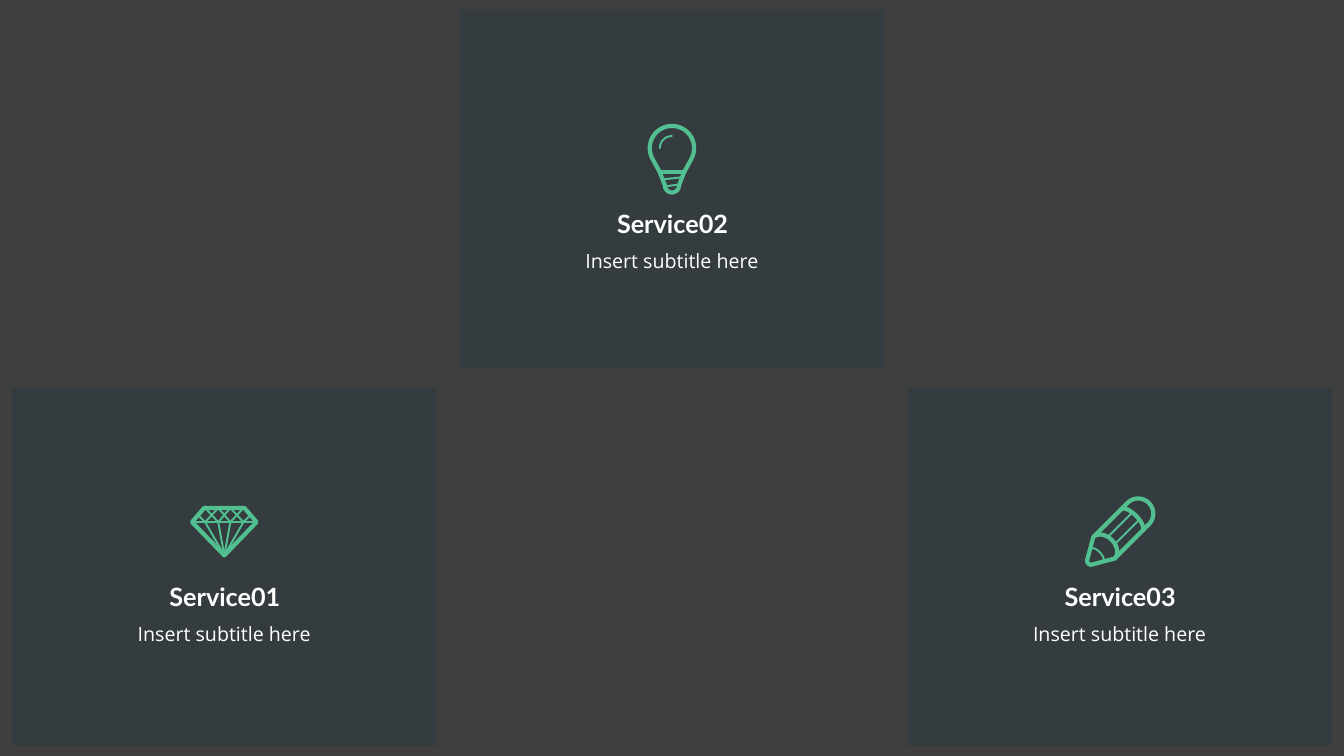
from dataclasses import dataclass
from math import cos, radians, sin, sqrt

from lxml.etree import SubElement
from pptx import Presentation
from pptx.dml.color import RGBColor
from pptx.enum.shapes import MSO_SHAPE
from pptx.enum.text import MSO_AUTO_SIZE, PP_ALIGN
from pptx.oxml.ns import qn
from pptx.util import Pt

PX = 9144  # EMU per px, 100 px to the inch
SLIDE_SIZE = (1333, 750)
CARD_SIZE = (421, 356)
ICON_CENTER = 144


@dataclass(frozen=True)
class Theme:
    background: RGBColor = RGBColor(0x3F, 0x3F, 0x3F)
    card: RGBColor = RGBColor(0x31, 0x3C, 0x41)
    card_opacity: int = 75
    icon: RGBColor = RGBColor(0x52, 0xBF, 0x90)
    bold_stroke: float = 3
    thin_stroke: float = 1.4
    text: RGBColor = RGBColor(0xFF, 0xFF, 0xFF)
    title_font: str = "Lato"
    title_size: int = 18
    subtitle_font: str = "Open Sans"
    subtitle_size: int = 14
    subtitle_spacing: float = 1.5


THEME = Theme()
TITLE_FORMAT = {"name": THEME.title_font, "size": Pt(THEME.title_size), "bold": True}
SUBTITLE_FORMAT = {"name": THEME.subtitle_font, "size": Pt(THEME.subtitle_size)}


def arc(center_x, center_y, radius_x, radius_y, start, end, step=5):
    """Points of an elliptical arc, in degrees clockwise from the right."""
    return [(center_x + radius_x * cos(radians(angle)),
             center_y + radius_y * sin(radians(angle)))
            for angle in range(start, end + 1, step)]


# Each icon function returns its bold and its thin polylines,
# in px around the icon's centre.
def diamond_icon():
    top, girdle, tip = -24, -10, (0, 23)
    top_half, girdle_half = 20, 32
    facets = (-19, -6, 6, 19)
    outline = [(-top_half, top), (top_half, top), (girdle_half, girdle), tip,
               (-girdle_half, girdle), (-top_half, top)]

    # Lines from the girdle to the tip, and a lattice above it
    thin = [[(-girdle_half, girdle), (girdle_half, girdle)]]
    thin += [[(x, girdle), tip] for x in facets]
    for left, right in zip(facets, facets[1:]):
        thin += [[(left, girdle), (right, top)], [(left, top), (right, girdle)]]
    for side, x in ((-1, facets[0]), (1, facets[-1])):
        thin.append([(x, girdle), (side * (girdle_half + top_half) / 2, (girdle + top) / 2)])
    return [outline], thin


def bulb_icon():
    glass_y, glass_radius = -11, 22
    neck_y, neck_half = 13, 12
    glass = arc(0, glass_y, glass_radius, glass_radius, 150, 390)
    base = arc(0, 26, 7, 7, 0, 180)
    neck = [(neck_half, neck_y), (-neck_half, neck_y)]
    outline = [*glass, neck[0], *base, neck[1], glass[0]]

    # Screw threads and the glare on the glass
    threads = [[(-half, y + 1), (half, y - 1)] for half, y in ((9, 19), (7, 26))]
    glare = arc(0, glass_y, 12, 12, 180, 270)
    return [outline, neck], [*threads, glare]


def pencil_icon():
    """Drawn along an axis from tip to eraser, then turned to point down left."""
    half, shoulder, eraser = 15, -22, 26
    point = arc(-40, 0, 4, 4, 115, 245)
    outline = [*point, *arc(eraser, 0, half, half, -90, 90), (shoulder, half), point[0]]
    outline.insert(len(point), (shoulder, -half))
    shoulder_edge = arc(shoulder, 0, 11, half, -90, 90)
    ferrule_edge = arc(17, 0, 6, half, -90, 90)

    grooves = [[(-12, y), (22, y)] for y in (-5, 5)]
    lead_edge = arc(-31, 0, 3, 8, -90, 90)

    def turn(lines):
        return [[((x + y) / sqrt(2), (y - x) / sqrt(2)) for x, y in line] for line in lines]

    return turn([outline, shoulder_edge, ferrule_edge]), turn([*grooves, lead_edge])


# Each card: left, top, downward shift of its content, title and icon
CARDS = [
    (12, 384, 0, "Service01", diamond_icon),
    (456, 9, 5, "Service02", bulb_icon),
    (900, 384, 0, "Service03", pencil_icon),
]


def add_strokes(slide, polylines, center_x, center_y, weight):
    """Draw all polylines of one weight as a single unfilled shape."""
    first, *others = [[((center_x + x) * PX, (center_y + y) * PX) for x, y in polyline]
                      for polyline in polylines]
    builder = slide.shapes.build_freeform(*first[0], scale=1.0)
    builder.add_line_segments(first[1:], close=False)
    for points in others:
        builder.move_to(*points[0])
        builder.add_line_segments(points[1:], close=False)
    shape = builder.convert_to_shape()
    shape.shadow.inherit = False
    shape.fill.background()
    shape.line.color.rgb = THEME.icon
    shape.line.width = Pt(weight)
    line = shape.line._get_or_add_ln()
    line.set("cap", "rnd")
    SubElement(line, qn("a:round"))


def add_panel(slide, left, top):
    box = (left, top, *CARD_SIZE)
    panel = slide.shapes.add_shape(MSO_SHAPE.RECTANGLE, *(length * PX for length in box))
    panel.shadow.inherit = False
    panel.fill.solid()
    panel.fill.fore_color.rgb = THEME.card
    panel.line.fill.background()
    color = panel.fill._xPr.find(qn("a:solidFill"))[0]
    SubElement(color, qn("a:alpha"), val=str(THEME.card_opacity * 1000))


def add_label(slide, text, box, font_format, wrap, spacing=None):
    frame = slide.shapes.add_textbox(*(length * PX for length in box)).text_frame
    frame.word_wrap = wrap
    frame.auto_size = MSO_AUTO_SIZE.SHAPE_TO_FIT_TEXT
    paragraph = frame.paragraphs[0]
    paragraph.alignment = PP_ALIGN.CENTER
    paragraph.line_spacing = spacing
    run = paragraph.add_run()
    run.text = text
    for name, value in font_format.items():
        setattr(run.font, name, value)
    run.font.color.rgb = THEME.text


def add_card(slide, left, top, shift, title, icon):
    # Translucent panel
    add_panel(slide, left, top)

    # Title and subtitle
    content_top = top + shift
    add_label(slide, title, (left + 145, content_top + 188, 132, 40), TITLE_FORMAT, False)
    add_label(slide, "Insert subtitle here", (left + 74, content_top + 216, 273, 42),
              SUBTITLE_FORMAT, True, THEME.subtitle_spacing)

    # Icon centred above the title
    center = (left + CARD_SIZE[0] / 2, content_top + ICON_CENTER)
    for polylines, weight in zip(icon(), (THEME.bold_stroke, THEME.thin_stroke)):
        add_strokes(slide, polylines, *center, weight)


def main():
    presentation = Presentation()
    presentation.slide_width, presentation.slide_height = (side * PX for side in SLIDE_SIZE)
    slide = presentation.slides.add_slide(presentation.slide_layouts[6])
    slide.background.fill.solid()
    slide.background.fill.fore_color.rgb = THEME.background
    for card in CARDS:
        add_card(slide, *card)
    presentation.save("out.pptx")


if __name__ == "__main__":
    main()
